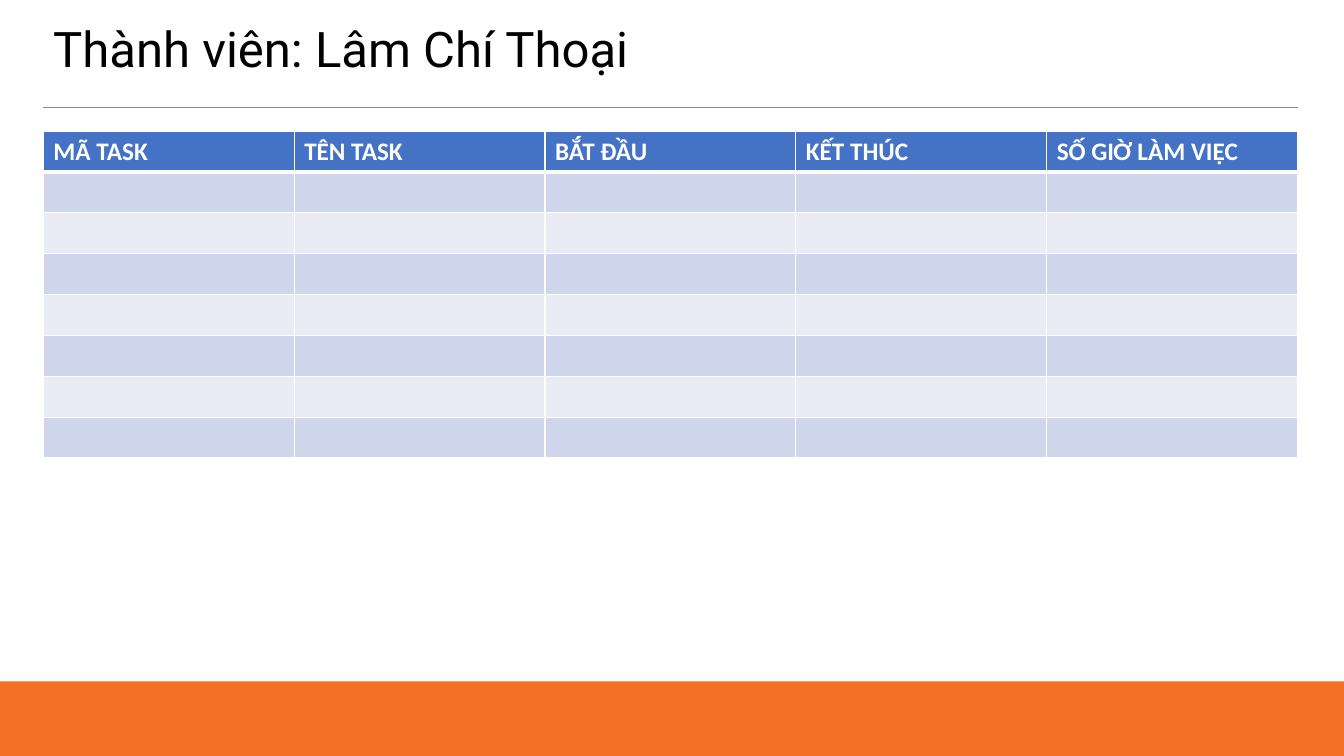
"""Build a task table slide for one team member."""
from pptx import Presentation
from pptx.dml.color import RGBColor
from pptx.enum.shapes import MSO_CONNECTOR, MSO_SHAPE
from pptx.enum.text import MSO_ANCHOR
from pptx.oxml.ns import qn
from pptx.util import Inches, Pt
from lxml.etree import SubElement

TITLE = "Thành viên: Lâm Chí Thoại"
HEADS = ["MÃ TASK", "TÊN TASK", "BẮT ĐẦU", "KẾT THÚC", "SỐ GIỜ LÀM VIỆC"]
ROWS = 8

WHITE = RGBColor(0xFF, 0xFF, 0xFF)
BLACK = RGBColor(0, 0, 0)
ORANGE = RGBColor(0xF3, 0x6F, 0x23)
GRAY = RGBColor(0x8C, 0x8C, 0x8C)
BLUE = RGBColor(0x44, 0x72, 0xC4)
BANDS = [RGBColor(0xE9, 0xEB, 0xF5), RGBColor(0xCF, 0xD5, 0xEA)]

WIDE, HIGH = 13.33, 7.5
LEFT, SPAN = 0.43, 12.44
FOOT = 0.74


def add_panel(slide, top, high, color):
    panel = slide.shapes.add_shape(
        MSO_SHAPE.RECTANGLE, 0, Inches(top), Inches(WIDE), Inches(high))
    panel.shadow.inherit = False
    panel.fill.solid()
    panel.fill.fore_color.rgb = color
    panel.line.fill.background()


def add_run(para, text, font, size, color, bold=False):
    run = para.add_run()
    run.text = text
    run.font.name = font
    run.font.size = Pt(size)
    run.font.color.rgb = color
    run.font.bold = bold


def add_edge(cell, side, width):
    props = cell._tc.get_or_add_tcPr()
    edge = SubElement(props, qn("a:" + side), w=str(Pt(width)))
    fill = SubElement(edge, qn("a:solidFill"))
    SubElement(fill, qn("a:srgbClr"), val=str(WHITE))


def add_title(slide):
    box = slide.shapes.add_textbox(
        Inches(LEFT), Inches(0.12), Inches(SPAN), Inches(0.79))
    frame = box.text_frame
    frame.word_wrap = True
    frame.vertical_anchor = MSO_ANCHOR.MIDDLE
    para = frame.paragraphs[0]
    para.line_spacing = 0.9
    add_run(para, TITLE, "Roboto", 35, BLACK)


def add_rule(slide):
    rule = slide.shapes.add_connector(
        MSO_CONNECTOR.STRAIGHT, Inches(LEFT), Inches(1.07),
        Inches(LEFT + SPAN), Inches(1.07))
    rule.line.color.rgb = GRAY
    rule.line.width = Pt(0.5)
    SubElement(rule._element.spPr, qn("a:effectLst"))


def add_tasks(slide):
    table = slide.shapes.add_table(
        ROWS, len(HEADS), Inches(LEFT), Inches(1.3),
        Inches(SPAN), Inches(3.24)).table
    for row in range(ROWS):
        for col, head in enumerate(HEADS):
            cell = table.cell(row, col)
            add_edge(cell, "lnL", 1)
            add_edge(cell, "lnR", 1)
            add_edge(cell, "lnT", 3 if row == 1 else 1)
            add_edge(cell, "lnB", 3 if row == 0 else 1)
            cell.fill.solid()
            cell.fill.fore_color.rgb = BANDS[row % 2] if row else BLUE
            if row == 0:
                para = cell.text_frame.paragraphs[0]
                add_run(para, head, "Calibri", 18, WHITE, True)


def main():
    deck = Presentation()
    deck.slide_width, deck.slide_height = Inches(WIDE), Inches(HIGH)
    slide = deck.slides.add_slide(deck.slide_layouts[6])
    back = slide.background.fill
    back.solid()
    back.fore_color.rgb = ORANGE
    add_panel(slide, 0, HIGH, WHITE)
    add_panel(slide, HIGH - FOOT, FOOT, ORANGE)
    add_rule(slide)
    add_tasks(slide)
    add_title(slide)
    deck.save("out.pptx")


if __name__ == "__main__":
    main()
